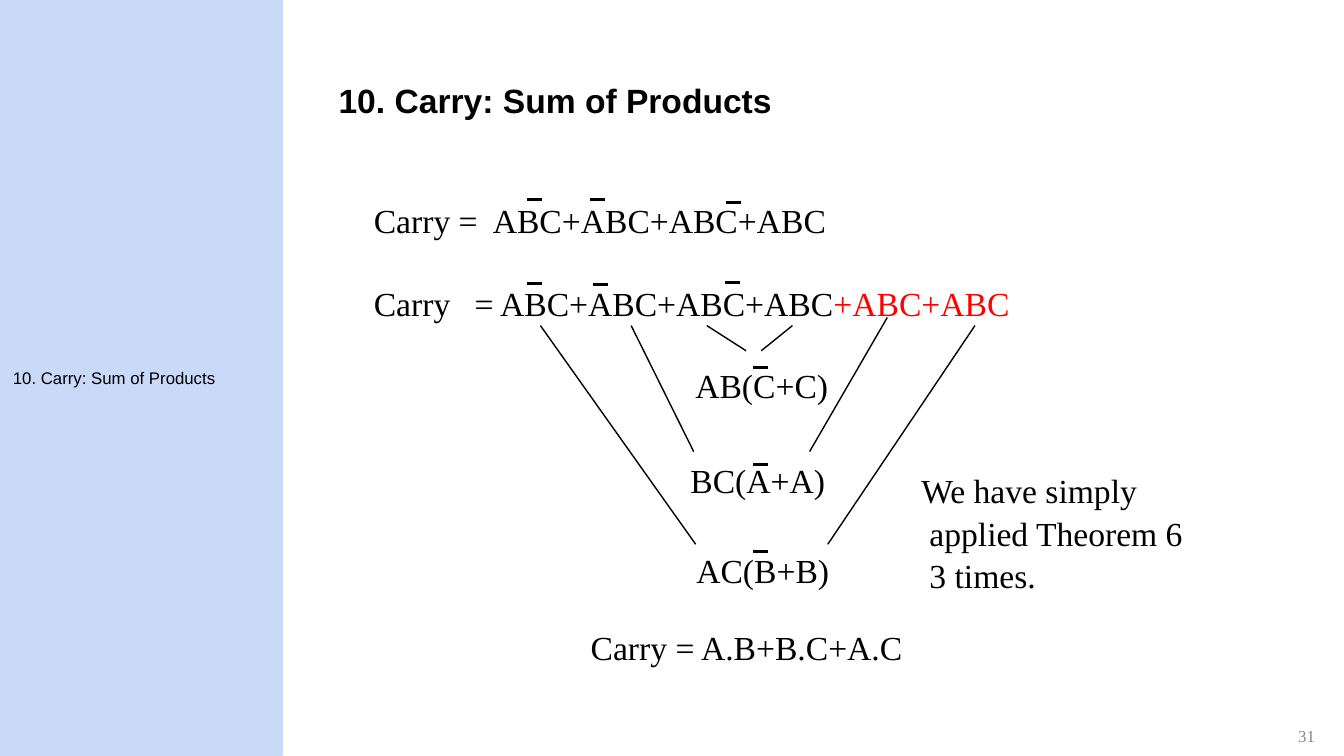
"""Build the slide that simplifies the carry sum of products."""
from lxml import etree
from pptx import Presentation, util as u
from pptx.dml.color import RGBColor
from pptx.enum import shapes, text
from pptx.oxml.ns import qn

BLUE = RGBColor(0xC9, 0xDA, 0xF8)
BLACK = RGBColor(0, 0, 0)
RED = RGBColor(0xFF, 0, 0)
GREY = RGBColor(0x88, 0x88, 0x88)
LEFT, MID, RIGHT = text.PP_ALIGN.LEFT, text.PP_ALIGN.CENTER, text.PP_ALIGN.RIGHT
TITLE = "10. Carry: Sum of Products"
SERIF = {"name": "Times New Roman", "size": u.Pt(24)}

deck = Presentation()
deck.slide_width, deck.slide_height = u.Inches(13.33), u.Inches(7.5)
slide = deck.slides.add_slide(deck.slide_layouts[6])


def label(box, lines, font=SERIF, align=LEFT, space=1.05, tint=BLACK):
    """Add a text box with one paragraph a line and return its paragraphs."""
    frame = slide.shapes.add_textbox(*map(u.Inches, box)).text_frame
    frame.word_wrap = align != MID
    frame.vertical_anchor = text.MSO_ANCHOR.MIDDLE
    for i, line in enumerate(lines):
        para = frame.paragraphs[0] if i == 0 else frame.add_paragraph()
        para.alignment, para.line_spacing = align, space
        run = para.add_run()
        run.text = line
        for key, value in font.items():
            setattr(run.font, key, value)
        run.font.color.rgb = tint
    return frame.paragraphs


side = slide.shapes.add_shape(shapes.MSO_SHAPE.RECTANGLE, 0, 0, u.Inches(2.8), deck.slide_height)
side.shadow.inherit = False
side.fill.solid()
side.fill.fore_color.rgb = side.line.color.rgb = BLUE
side.line.width = u.Pt(0.75)

label((0.03, 3.6, 2.7, 0.3), [TITLE], {"name": "Arial", "size": u.Pt(12)}, space=1.0)
label((3.26, 0.39, 8, 1.25), [TITLE], {"name": "Arial", "size": u.Pt(24), "bold": True}, space=0.9)
label((10.14, 7.1, 3, 0.4), ["31"], {"name": "Times New Roman", "size": u.Pt(12)}, RIGHT, 1.0, GREY)

sums = label((3.61, 1.93, 8, 1.31), ["Carry =\tABC+ABC+ABC+ABC", "Carry\t= ABC+ABC+ABC+ABC"])
sums[1].space_before = u.Pt(29)
for para, stop in zip(sums, (1.18, 1)):
    tabs = etree.SubElement(para._p.get_or_add_pPr(), qn("a:tabLst"))
    etree.SubElement(tabs, qn("a:tab"), pos=str(u.Inches(stop)), algn="l")
extra = sums[1].add_run()
extra.text = "+ABC+ABC"
for key, value in SERIF.items():
    setattr(extra.font, key, value)
extra.font.color.rgb = RED

for x, y, w, term in (
    (6.78, 3.56, 1.55, "AB(C+C)"),
    (6.74, 4.5, 1.55, "BC(A+A)"),
    (6.8, 5.4, 1.53, "AC(B+B)"),
    (5.69, 6.16, 3.43, "Carry = A.B+B.C+A.C"),
):
    label((x, y, w, 0.5), [term], align=MID)

note = label((9.04, 4.62, 2.82, 1.31), ["We have simply", "applied Theorem 6", "3 times."])
for para in note[1:]:
    para._p.get_or_add_pPr().set("marL", str(u.Inches(0.08)))

bars = [
    (5.23, 1.98), (5.85, 1.98), (7.2, 2.01),
    (5.23, 2.81), (5.88, 2.82), (7.19, 2.8),
    (7.47, 3.65), (7.47, 4.61), (7.47, 5.47),
]
links = [
    (7.01, 3.23, 7.4, 3.48), (7.86, 3.23, 7.55, 3.48),
    (6.26, 3.23, 6.88, 4.48), (8.8, 3.15, 8.03, 4.48),
    (5.36, 3.23, 6.9, 5.4), (9.67, 3.23, 8.21, 5.4),
]
strokes = [((x, y, x + 0.15, y), 2.25) for x, y in bars] + [(ends, 1) for ends in links]
for ends, width in strokes:
    line = slide.shapes.add_connector(shapes.MSO_CONNECTOR.STRAIGHT, *map(u.Inches, ends))
    line.line.color.rgb, line.line.width = BLACK, u.Pt(width)
    etree.SubElement(line._element.spPr, qn("a:effectLst"))

deck.save("out.pptx")
